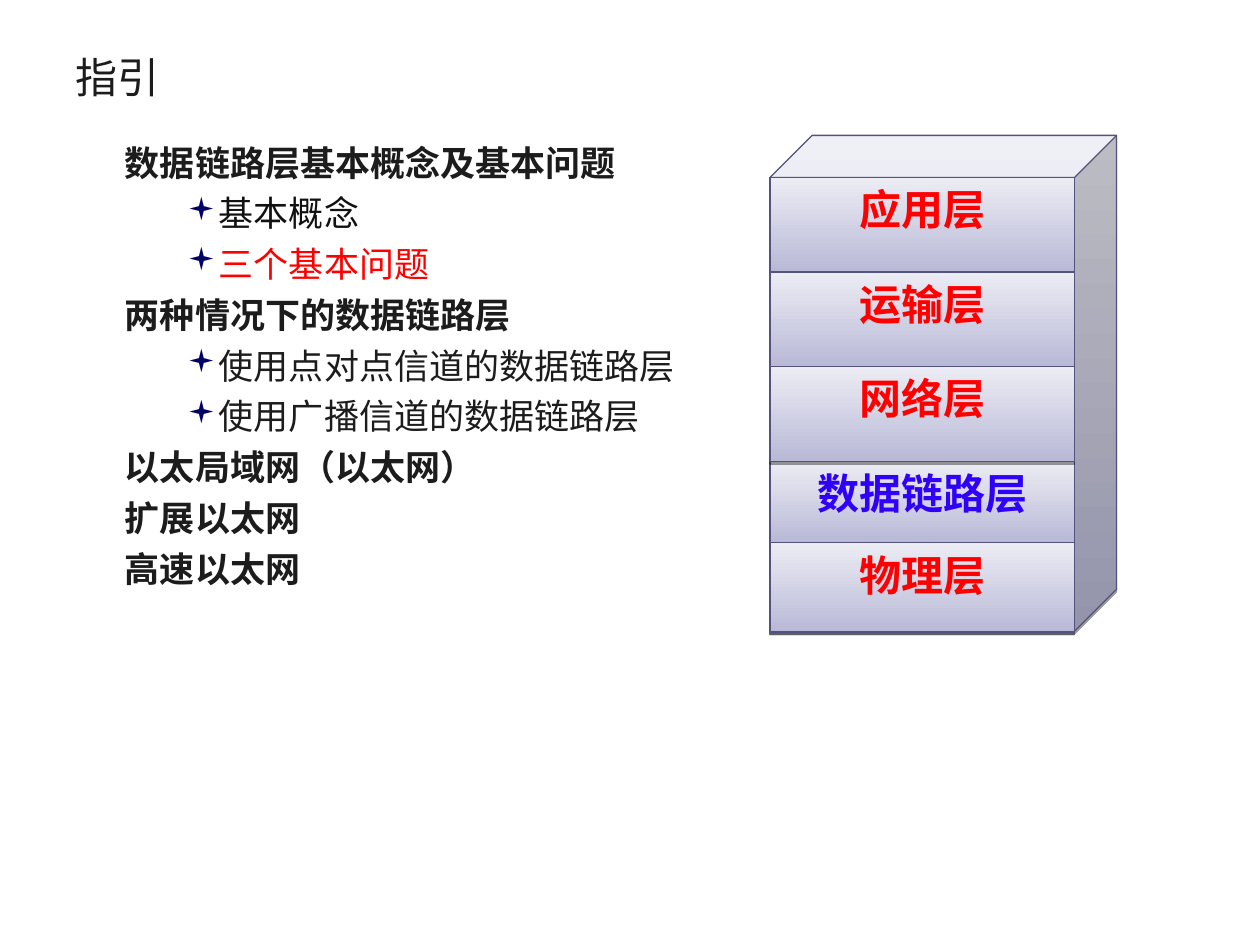
from lxml import etree
from pptx import Presentation
from pptx import util as u
from pptx.dml.color import RGBColor
from pptx.enum import shapes, text
from pptx.oxml import parse_xml
from pptx.oxml.ns import nsdecls, qn

FONT = "Noto Sans CJK SC"
COLORS = {
    "ink": "1C1C1C", "soft_ink": "111111", "red": "FF0000", "blue": "3001F9",
    "bullet": "000066", "edge": "535380", "shade": "B9B9D7", "light": "ECECF4",
}
OUTLINE = [  # level, text, colour
    (0, "数据链路层基本概念及基本问题", "ink"),
    (1, "基本概念", "soft_ink"),
    (1, "三个基本问题", "red"),
    (0, "两种情况下的数据链路层", "ink"),
    (1, "使用点对点信道的数据链路层", "ink"),
    (1, "使用广播信道的数据链路层", "ink"),
    (0, "以太局域网（以太网）", "ink"),
    (0, "扩展以太网", "ink"),
    (0, "高速以太网", "ink"),
]
LAYERS = [  # text, height in cm, colour, Latin font
    ("应用层", 1.9, "red", FONT),
    ("运输层", 1.91, "red", FONT),
    ("网络层", 1.91, "red", FONT),
    ("数据链路层", 1.64, "blue", "Roboto"),
    ("物理层", 1.8, "red", "Roboto"),
]
DRAW_ORDER = (0, 1, 3, 2, 4)  # the network layer casts its shadow on the link layer
CUBE_DEPTH = 0.122


def rgb(name):
    return RGBColor.from_string(COLORS[name])


def format_runs(p, size, color, bold=False, font=FONT):
    for r in p.runs:
        r.font.size = u.Pt(size)
        r.font.bold = bold
        r.font.name = font
        r.font.color.rgb = rgb(color)
        etree.SubElement(r.font._element, qn("a:ea"), typeface=FONT)


def add_bullet(p):
    pPr = p._p.get_or_add_pPr()
    pPr.append(parse_xml(f'<a:buClr {nsdecls("a")}><a:srgbClr val="{COLORS["bullet"]}"/></a:buClr>'))
    etree.SubElement(pPr, qn("a:buSzPct"), val="90000")
    etree.SubElement(pPr, qn("a:buFont"), typeface="Wingdings", charset="2")
    etree.SubElement(pPr, qn("a:buChar"), char="▪")


def add_text_box(s, left, top, width, height):
    tf = s.shapes.add_textbox(u.Cm(left), u.Cm(top), u.Cm(width), u.Cm(height)).text_frame
    tf.word_wrap = True
    return tf


def add_title(s, left, top, width, height):
    tf = add_text_box(s, left, top, width, height)
    tf.vertical_anchor = text.MSO_ANCHOR.MIDDLE
    tf.text = "指引"
    format_runs(tf.paragraphs[0], 24, "ink")


def add_outline(s, left, top, width, height):
    tf = add_text_box(s, left, top, width, height)
    for i, (level, words, color) in enumerate(OUTLINE):
        p = tf.add_paragraph() if i else tf.paragraphs[0]
        p.text = words
        p.level = level
        p.space_before = u.Pt(5)
        pPr = p._p.get_or_add_pPr()
        pPr.set("marL", str(u.Cm(2.29 if level else 0.97)))
        pPr.set("indent", str(u.Cm(-0.03 if level else 0.03)))
        if level:
            add_bullet(p)
        format_runs(p, 20, color, bold=level == 0)


def add_block(g, kind, left, top, width, height):
    """Add a shaded, outlined shape with a thin shadow below it."""
    sp = g.shapes.add_shape(kind, u.Cm(left), u.Cm(top), u.Cm(width), u.Cm(height))
    sp.fill.gradient()
    sp.fill.gradient_angle = 90
    for stop, color, position in zip(sp.fill.gradient_stops, ("shade", "light"), (0, 1)):
        stop.color.rgb = rgb(color)
        stop.position = position
    sp.line.color.rgb = rgb("edge")
    sp.line.width = u.Pt(0.75)
    sp.shadow.inherit = False
    effects = sp._element.spPr.find(qn("a:effectLst"))
    effects.append(parse_xml(
        f'<a:outerShdw {nsdecls("a")} blurRad="0" dist="{u.Pt(1.6)}" dir="5400000" rotWithShape="0">'
        '<a:srgbClr val="000000"><a:alpha val="38000"/></a:srgbClr></a:outerShdw>'))
    return sp


def add_edge(g, x1, y1, x2, y2):
    line = g.shapes.add_connector(shapes.MSO_CONNECTOR.STRAIGHT, *map(u.Cm, (x1, y1, x2, y2)))
    line.line.color.rgb = rgb("edge")
    line.line.width = u.Pt(0.75)
    etree.SubElement(line._element.spPr, qn("a:effectLst"))


def add_layer(g, left, top, width, height, layer):
    words, _, color, font = layer
    tf = add_block(g, shapes.MSO_SHAPE.RECTANGLE, left, top, width, height).text_frame
    tf.vertical_anchor = text.MSO_ANCHOR.TOP
    tf.word_wrap = True
    tf.text = words
    p = tf.paragraphs[0]
    p.alignment = text.PP_ALIGN.CENTER
    p.space_before = u.Pt(6)
    format_runs(p, 24, color, bold=True, font=font)


def add_layer_stack(s, left, top, width, height):
    g = s.shapes.add_group_shape()
    cube = add_block(g, shapes.MSO_SHAPE.CUBE, left, top, width, height)
    cube.adjustments[0] = CUBE_DEPTH
    depth = CUBE_DEPTH * width
    face_width = width - depth
    right = left + face_width
    for i in DRAW_ORDER:
        layer_height = LAYERS[i][1]
        y = top + depth + sum(layer[1] for layer in LAYERS[:i])
        bottom = y + layer_height
        add_layer(g, left, y, face_width, layer_height, LAYERS[i])
        if i < len(LAYERS) - 1:
            add_edge(g, left, bottom, right, bottom)
            for x in (left, right):
                add_edge(g, x, y, x, bottom)


def main():
    prs = Presentation()
    prs.slide_width, prs.slide_height = u.Cm(25.4), u.Cm(19.05)
    s = prs.slides.add_slide(prs.slide_layouts[6])
    add_title(s, 1.27, 0.78, 22.86, 1.55)
    add_outline(s, 1.27, 2.72, 22.86, 13.28)
    add_layer_stack(s, 15.52, 2.73, 6.99, 10)
    prs.save("out.pptx")


if __name__ == "__main__":
    main()
